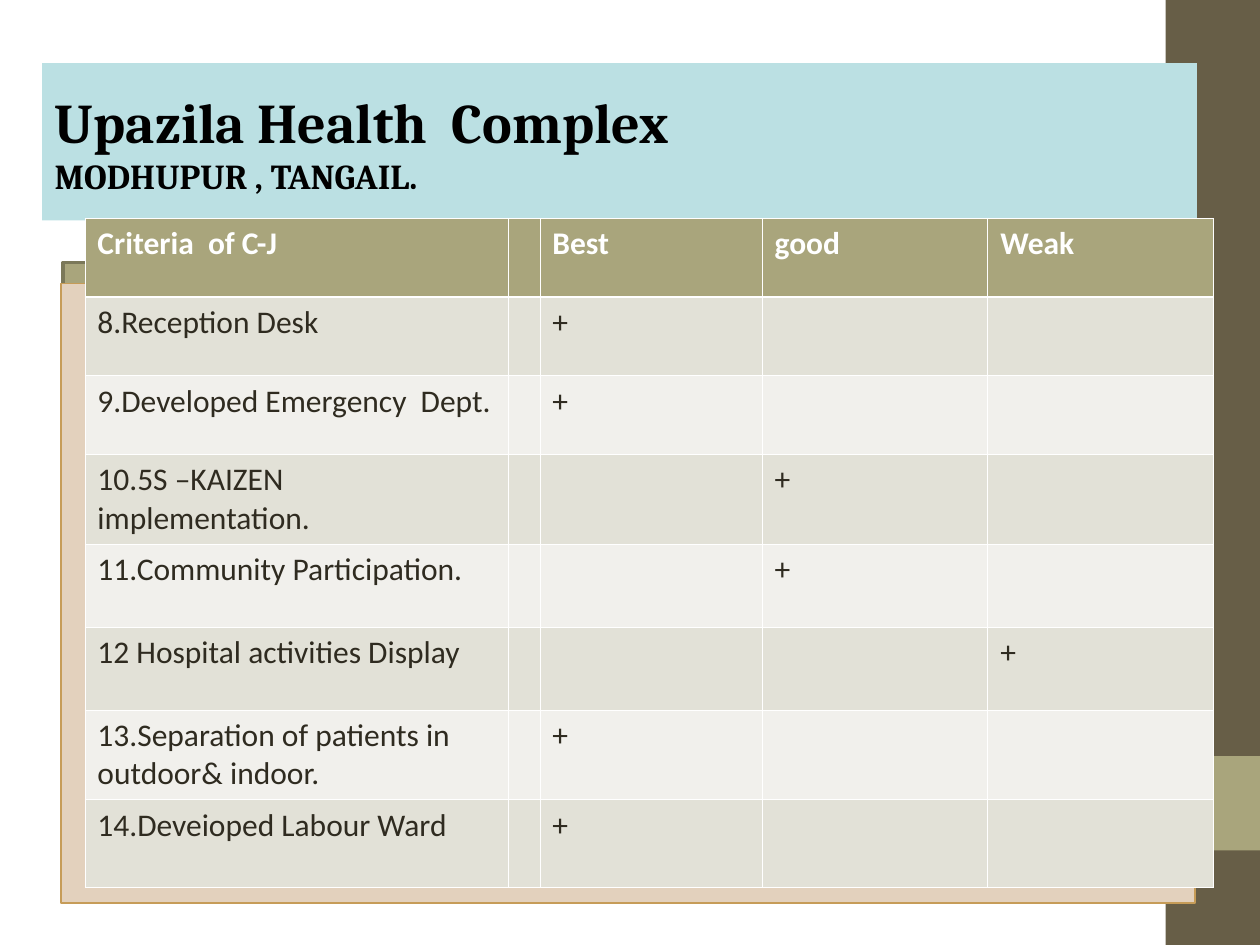
from dataclasses import dataclass

from lxml.etree import SubElement
from pptx import Presentation
from pptx.dml.color import RGBColor
from pptx.enum.shapes import MSO_SHAPE
from pptx.enum.text import MSO_ANCHOR, MSO_AUTO_SIZE, PP_ALIGN
from pptx.oxml.ns import qn
from pptx.util import Pt


@dataclass(frozen=True)
class Theme:
    brown: str = "675E47"
    olive: str = "A9A57C"
    moss: str = "7B7859"
    sky: str = "BBE0E3"
    sand: str = "E3D1BD"
    amber: str = "C69C58"
    dark: str = "E2E1D7"
    pale: str = "F1F0EC"
    ink: str = "2F2B20"
    black: str = "000000"
    white: str = "FFFFFF"
    serif: str = "Cambria"
    sans: str = "Calibri"
    large: float = 32
    small: float = 20
    body: float = 18
    thin: float = 0.45
    thick: float = 1.47


THEME = Theme()
HEADS = ["Criteria  of C-J", "", "Best", "good", "Weak"]
MARKS = [
    ("8.Reception Desk", "Best"),
    ("9.Developed Emergency  Dept.", "Best"),
    ("10.5S –KAIZEN implementation.", "good"),
    ("11.Community Participation.", "good"),
    ("12 Hospital activities Display", "Weak"),
    ("13.Separation of patients in outdoor& indoor.", "Best"),
    ("14.Deveioped Labour Ward", "Best"),
]
WIDTHS = [242, 18, 127, 129, 129]
HEIGHTS = [45, 45, 45, 51, 47.5, 47.5, 51, 50]


def apply(item, values):
    for key, value in values.items():
        setattr(item, key, value)


def paint(fill, hue):
    fill.solid()
    fill.fore_color.rgb = RGBColor.from_string(hue)


def style(font, face, size, hue, bold):
    apply(font, {"name": face, "size": Pt(size), "bold": bold})
    font.color.rgb = RGBColor.from_string(hue)


def add_panel(slide, box, hue, edge=None, weight=0):
    panel = slide.shapes.add_shape(MSO_SHAPE.RECTANGLE, *map(Pt, box))
    panel.shadow.inherit = False
    paint(panel.fill, hue)
    if edge:
        paint(panel.line.fill, edge)
        panel.line.width = Pt(weight)
    else:
        panel.line.fill.background()


def add_side(slide, box):
    left, top, width, height = box
    add_panel(slide, box, THEME.brown)
    add_panel(slide, (left, top + height * 0.8, width, height * 0.1), THEME.olive)


def add_title(slide, box):
    title = slide.shapes.title
    title.element.getparent().append(title.element)
    apply(title, dict(zip(("left", "top", "width", "height"), map(Pt, box))))
    paint(title.fill, THEME.sky)
    frame = title.text_frame
    apply(frame, {
        "word_wrap": True,
        "auto_size": MSO_AUTO_SIZE.NONE,
        "vertical_anchor": MSO_ANCHOR.MIDDLE,
    })
    para = frame.paragraphs[0]
    para.alignment = PP_ALIGN.LEFT
    style(para.font, THEME.serif, THEME.small, THEME.black, True)
    for text, size in (("Upazila Health  Complex", THEME.large),
                       ("MODHUPUR , TANGAIL.", THEME.small)):
        if para.runs:
            para.add_line_break()
        run = para.add_run()
        run.text = text
        style(run.font, THEME.serif, size, THEME.black, True)


def add_edges(cell, row):
    props = cell._tc.get_or_add_tcPr()
    bold = {0: "lnB", 1: "lnT"}.get(row)
    for place, tag in enumerate(("lnL", "lnR", "lnT", "lnB")):
        width = THEME.thick if tag == bold else THEME.thin
        line = props.makeelement(qn(f"a:{tag}"), {"w": str(Pt(width))})
        fill = SubElement(line, qn("a:solidFill"))
        SubElement(fill, qn("a:srgbClr"), val=THEME.white)
        props.insert(place, line)


def add_grid(slide, left, top):
    rows = [HEADS] + [
        [name] + ["+" if head == mark else "" for head in HEADS[1:]]
        for name, mark in MARKS
    ]
    box = (left, top, sum(WIDTHS), sum(HEIGHTS))
    grid = slide.shapes.add_table(len(rows), len(HEADS), *map(Pt, box)).table
    for col, width in zip(grid.columns, WIDTHS):
        col.width = Pt(width)
    for row, (texts, height) in enumerate(zip(rows, HEIGHTS)):
        grid.rows[row].height = Pt(height)
        head = row == 0
        hue = THEME.olive if head else (THEME.pale, THEME.dark)[row % 2]
        for col, text in enumerate(texts):
            cell = grid.cell(row, col)
            paint(cell.fill, hue)
            add_edges(cell, row)
            if text:
                cell.text = text
                run = cell.text_frame.paragraphs[0].runs[0]
                style(run.font, THEME.sans, THEME.body,
                      THEME.white if head else THEME.ink, head)


def main():
    deck = Presentation()
    apply(deck, {"slide_width": Pt(720), "slide_height": Pt(540)})
    slide = deck.slides.add_slide(deck.slide_layouts[5])
    paint(slide.background.fill, THEME.white)
    add_side(slide, (666, 0, 54, 540))
    add_panel(slide, (36, 150, 648, 354), THEME.olive, THEME.moss, 2)
    add_title(slide, (24, 36, 660, 90))
    add_panel(slide, (35, 162, 648, 354), THEME.sand, THEME.amber, 1)
    add_grid(slide, 48.5, 124.75)
    deck.save("out.pptx")


if __name__ == "__main__":
    main()
